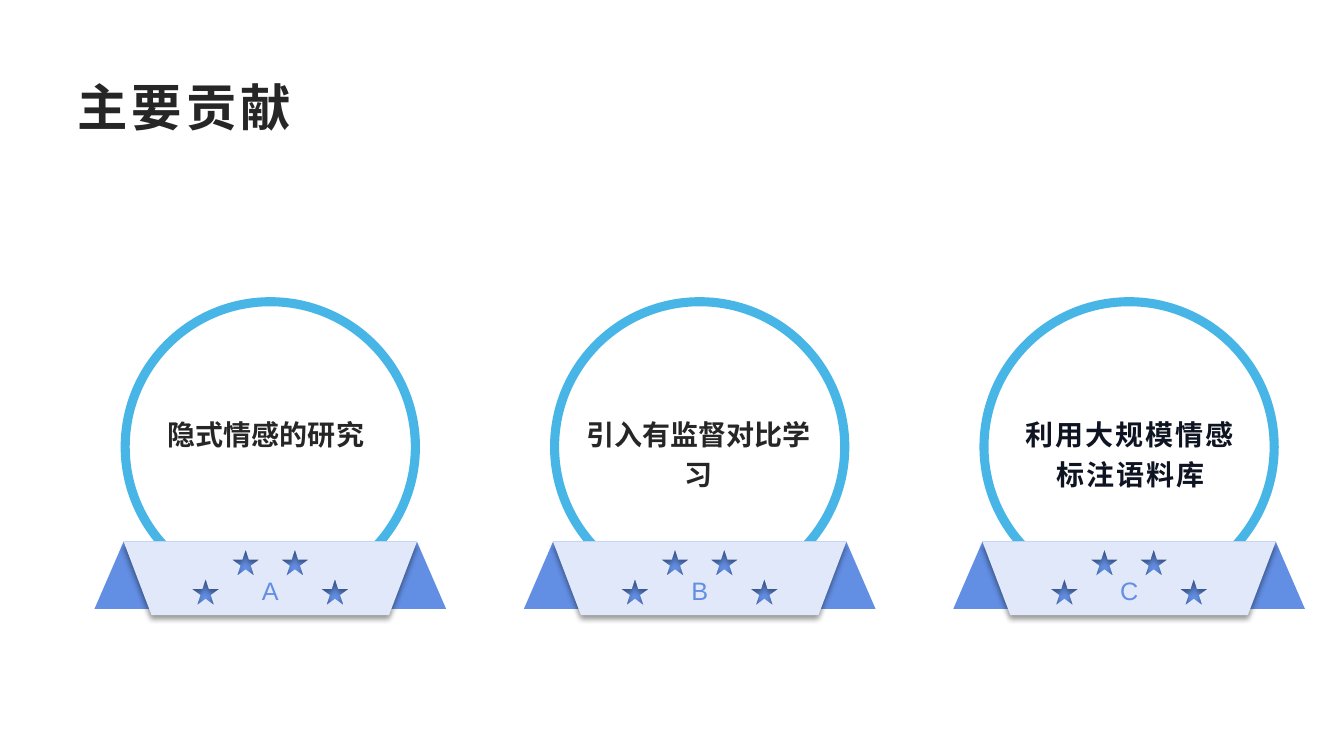
from math import asin, cos, pi, sin, tan

from lxml.etree import SubElement
from pptx import Presentation
from pptx.dml.color import RGBColor
from pptx.enum.shapes import MSO_SHAPE
from pptx.enum.text import MSO_ANCHOR, MSO_AUTO_SIZE, PP_ALIGN
from pptx.oxml.ns import qn
from pptx.util import Pt

# Content
CJK = "Noto Sans CJK SC"
DARK = RGBColor(0x26, 0x26, 0x26)
NAVY = RGBColor(0x0F, 0x14, 0x23)
RING = RGBColor(0x47, 0xB6, 0xE7)
RIBBON = RGBColor(0x62, 0x8E, 0xE3)
BANNER = RGBColor(0xE0, 0xE8, 0xF9)

TITLE = "主要贡献"
# letter, label, font, colour, letter spacing
BADGES = [
    ("A", "隐式情感的研究", "Arial", DARK, 0),
    ("B", "引入有监督对比学习", "Arial", DARK, 0),
    ("C", "利用大规模情感标注语料库", CJK, NAVY, 1.5),
]

# Layout in points
FIRST_X, PITCH = 193.1, 306.72
RING_Y, OUTER, INNER = 319.2, 106.9, 100.4
BANNER_Y, BANNER_W, BANNER_H, SLANT = 386.8, 209.6, 52.6, 20
RIBBON_W, RIBBON_H = 251.2, 48.2
STARS = [(46.2, 423.9), (-46.2, 423.9), (17.6, 402.9), (-17.6, 402.9)]
STAR_R = 10.3
LABEL_X, LABEL_PITCH, LABEL_Y, LABEL_W, LABEL_H = 100.7, 308.8, 289.9, 178.6, 89.3


def add_run(p, text, size, color, font="Arial", bold=False, spacing=0):
    r = p.add_run()
    r.text = text
    r.font.size, r.font.bold, r.font.name = Pt(size), bold, font
    r.font.color.rgb = color
    rpr = r.font._element
    SubElement(rpr, qn("a:ea")).set("typeface", CJK)
    if spacing:
        rpr.set("spc", str(int(spacing * 100)))


def style(sp, color):
    sp.shadow.inherit = False
    sp.fill.solid()
    sp.fill.fore_color.rgb = color
    sp.line.fill.background()


def add_outline(shapes, contours, color):
    contours = [[(Pt(x), Pt(y)) for x, y in c] for c in contours]
    builder = shapes.build_freeform(*contours[0][0])
    for i, points in enumerate(contours):
        if i:
            builder.move_to(*points[0])
        builder.add_line_segments(points[1:], close=True)
    sp = builder.convert_to_shape()
    style(sp, color)
    return sp


def star(cx, cy):
    radii = [STAR_R, STAR_R * 0.38]
    return [(cx + radii[i % 2] * sin(i * pi / 5), cy - radii[i % 2] * cos(i * pi / 5))
            for i in range(10)]


def arc(cx, radius):
    """Anchors and Bezier handles over the top, from lower right to lower left."""
    start = asin((BANNER_Y - RING_Y) / radius)
    angles = [start, 0, -pi / 2, -pi, -pi - start]
    anchors = [(cx + radius * cos(a), RING_Y + radius * sin(a)) for a in angles]
    handles = []
    for i in range(len(angles) - 1):
        a, b = angles[i:i + 2]
        k = 4 / 3 * tan((b - a) / 4) * radius
        (x0, y0), (x1, y1) = anchors[i:i + 2]
        handles.append([(x0 - k * sin(a), y0 + k * cos(a)),
                        (x1 + k * sin(b), y1 - k * cos(b))])
    return anchors, handles


def add_ring(shapes, cx):
    outer, outer_handles = arc(cx, OUTER)
    inner, inner_handles = arc(cx, INNER)
    sp = add_outline(shapes, [outer + inner[::-1]], RING)
    back = [pair[::-1] for pair in inner_handles[::-1]]
    # One straight edge joins the two arcs
    curves = outer_handles + [None] + back
    for line, pair in zip(list(sp._element.iter(qn("a:lnTo"))), curves):
        if pair:
            line.tag = qn("a:cubicBezTo")
            for i, (x, y) in enumerate(pair):
                pt = line.makeelement(qn("a:pt"), {"x": str(Pt(x) - sp.left),
                                                   "y": str(Pt(y) - sp.top)})
                line.insert(i, pt)


def add_shadow(sp):
    effects = sp._element.spPr.find(qn("a:effectLst"))
    shadow = SubElement(effects, qn("a:outerShdw"), blurRad=str(Pt(4)), dist=str(Pt(3)),
                        dir="5400000", algn="t", rotWithShape="0")
    color = SubElement(shadow, qn("a:srgbClr"), val="000000")
    SubElement(color, qn("a:alpha"), val="40000")


def add_badge(s, cx, letter):
    shapes = s.shapes.add_group_shape().shapes
    add_ring(shapes, cx)
    # Ribbon behind the banner
    ribbon = shapes.add_shape(MSO_SHAPE.TRAPEZOID, Pt(cx - RIBBON_W / 2), Pt(BANNER_Y),
                              Pt(RIBBON_W), Pt(RIBBON_H))
    ribbon.adjustments[0] = 0.434
    style(ribbon, RIBBON)
    # Banner with star-shaped holes
    half, bottom = BANNER_W / 2, BANNER_Y + BANNER_H
    edge = [(cx - half, BANNER_Y), (cx + half, BANNER_Y),
            (cx + half - SLANT, bottom), (cx - half + SLANT, bottom)]
    banner = add_outline(shapes, [star(cx + dx, y) for dx, y in STARS] + [edge], BANNER)
    add_shadow(banner)
    tf = banner.text_frame
    tf.vertical_anchor = MSO_ANCHOR.MIDDLE
    tf.margin_top, tf.margin_bottom = Pt(17.3), 0
    p = tf.paragraphs[0]
    p.alignment = PP_ALIGN.CENTER
    add_run(p, letter, 18, RIBBON)


def main():
    prs = Presentation()
    prs.slide_width, prs.slide_height = Pt(960), Pt(540)
    s = prs.slides.add_slide(prs.slide_layouts[5])

    # Title
    title = s.shapes.title
    title.left, title.top, title.width, title.height = Pt(47.9), Pt(48), Pt(864), Pt(55.6)
    tf = title.text_frame
    tf.auto_size = MSO_AUTO_SIZE.NONE
    tf.vertical_anchor = MSO_ANCHOR.MIDDLE
    p = tf.paragraphs[0]
    p.alignment = PP_ALIGN.LEFT
    add_run(p, TITLE, 36, DARK, bold=True, spacing=3)

    # Badges and their labels
    for i, (letter, label, font, color, spacing) in enumerate(BADGES):
        add_badge(s, FIRST_X + i * PITCH, letter)
        box = s.shapes.add_textbox(Pt(LABEL_X + i * LABEL_PITCH), Pt(LABEL_Y),
                                   Pt(LABEL_W), Pt(LABEL_H))
        box.text_frame.word_wrap = True
        p = box.text_frame.paragraphs[0]
        p.alignment, p.line_spacing = PP_ALIGN.CENTER, 1.2
        add_run(p, label, 20, color, font, True, spacing)

    prs.save("out.pptx")


if __name__ == "__main__":
    main()
